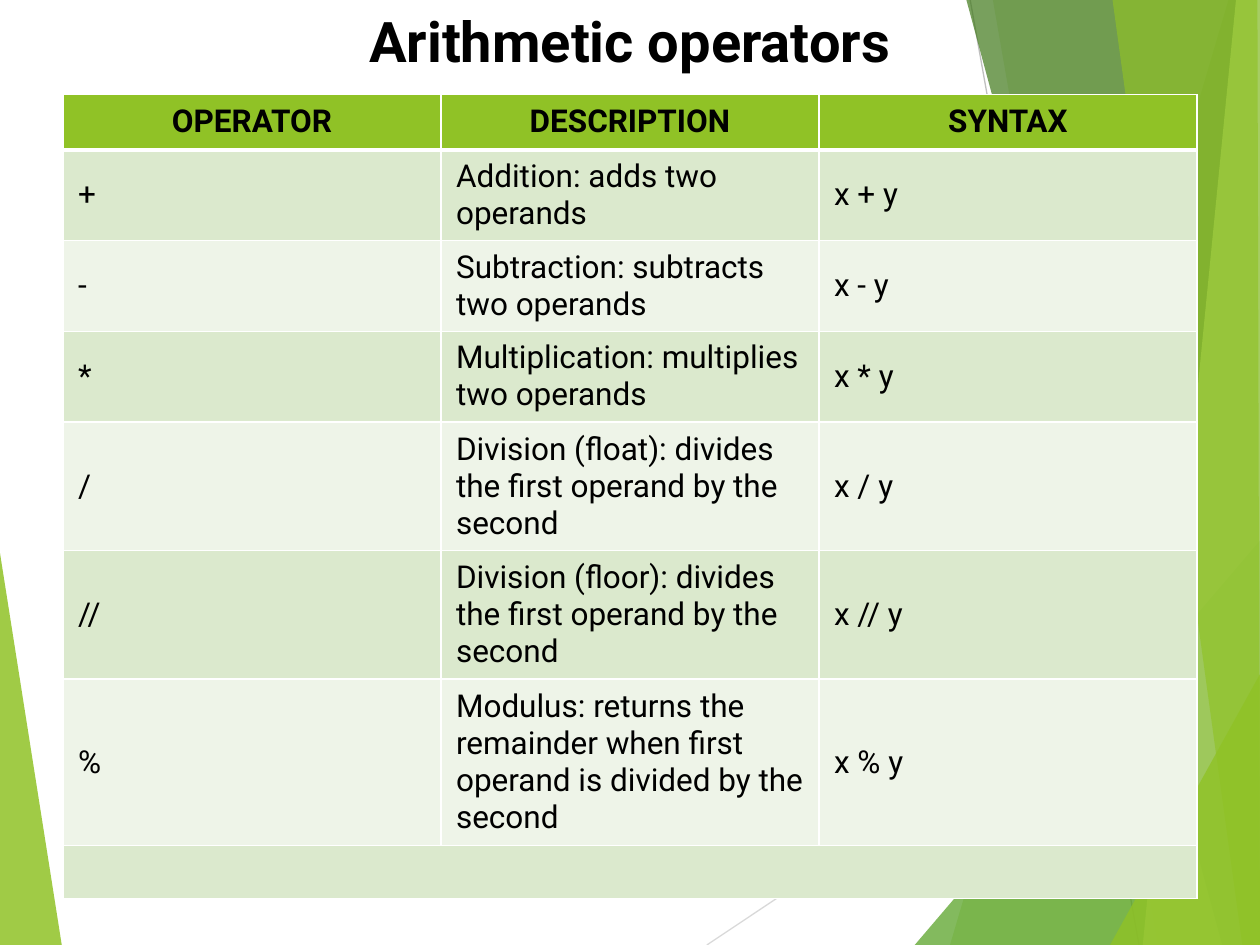
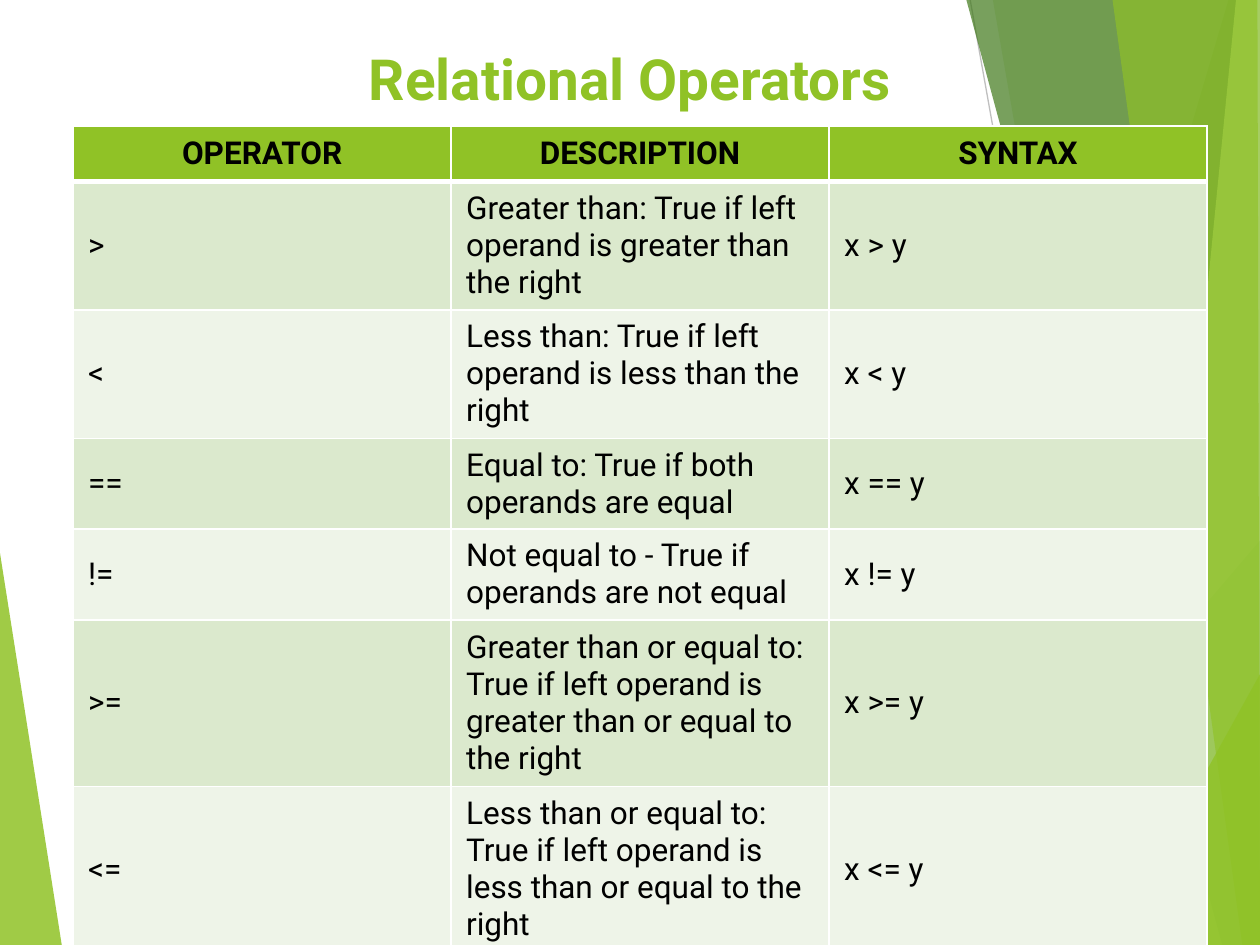
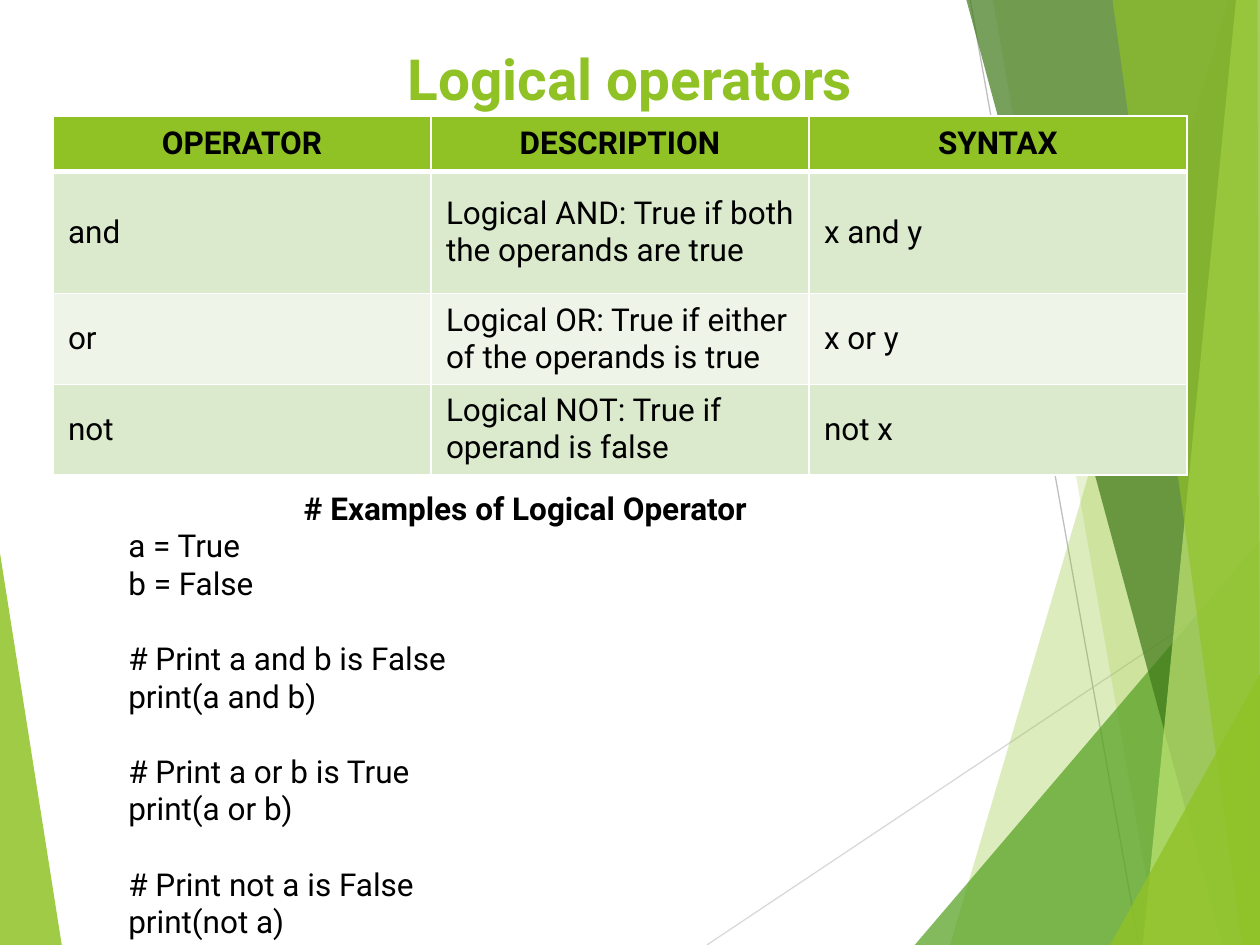
import pptx
import pptx.util
import pptx.dml.color
import pptx.enum.shapes
import pptx.enum.text
import pptx.oxml
import pptx.oxml.ns
from pptx.util import Inches, Pt

RGBColor = pptx.dml.color.RGBColor
ALIGN = pptx.enum.text.PP_ALIGN
ANCHOR = pptx.enum.text.MSO_ANCHOR

BLACK = RGBColor(0x00, 0x00, 0x00)
WHITE = RGBColor(0xFF, 0xFF, 0xFF)
LIME = RGBColor(0x90, 0xC2, 0x26)
GREEN = RGBColor(0x54, 0xA0, 0x21)
DARK_GREEN = RGBColor(0x3F, 0x78, 0x19)
PALE_LIME = RGBColor(0xC0, 0xE4, 0x74)
BAND_DARK = RGBColor(0xDB, 0xE9, 0xCD)
BAND_LIGHT = RGBColor(0xEE, 0xF4, 0xE8)
LIGHT_GRAY = RGBColor(0xD9, 0xD9, 0xD9)
MID_GRAY = RGBColor(0xBF, 0xBF, 0xBF)

FONT = "Roboto"
HEADINGS = ("OPERATOR", "DESCRIPTION", "SYNTAX")
COLUMN_WIDTH = 3

LEFT_WEDGE = ([(0, 4.39), (0.49, 7.5), (0, 7.5)], LIME, 85)
THIN_LINES = [
    ((5.61, 7.5), (10, 4.57), LIGHT_GRAY),
    ((7.7, 0), (9.04, 7.5), MID_GRAY),
]
RIGHT_FACETS = [
    ([(9.75, 0), (7.54, 7.5), (10, 7.5), (10, 0)], LIME, 30),
    ([(7.88, 0), (9.19, 7.5), (10, 7.5), (10, 0)], LIME, 20),
    ([(7.26, 7.5), (10, 4.29), (10, 7.5)], GREEN, 72),
    ([(7.67, 0), (9.7, 7.5), (10, 7.5), (10, 0)], DARK_GREEN, 70),
    ([(9.81, 0), (9.07, 7.5), (10, 7.5), (10, 0)], PALE_LIME, 70),
    ([(8.83, 0), (9.86, 7.5), (10, 7.5), (9.98, 0)], LIME, 65),
    ([(8.81, 7.5), (10, 5.35), (10, 7.5)], LIME, 80),
]

ARITHMETIC = [
    ("+", "Addition: adds two operands", "x + y"),
    ("-", "Subtraction: subtracts two operands", "x - y"),
    ("*", "Multiplication: multiplies two operands", "x * y"),
    ("/", "Division (float): divides the first operand by the second", "x / y"),
    ("//", "Division (floor): divides the first operand by the second", "x // y"),
    ("%", "Modulus: returns the remainder when first operand is divided by the second", "x % y"),
    ("", "", ""),
]
RELATIONAL = [
    (">", "Greater than: True if left operand is greater than the right", "x > y"),
    ("<", "Less than: True if left operand is less than the right", "x < y"),
    ("==", "Equal to: True if both operands are equal", "x == y"),
    ("!=", "Not equal to - True if operands are not equal", "x != y"),
    (">=", "Greater than or equal to: True if left operand is greater than or equal to the right",
     "x >= y"),
    ("<=", "Less than or equal to: True if left operand is less than or equal to the right",
     "x <= y"),
]
LOGICAL = [
    ("and", "Logical AND: True if both the operands are true", "x and y"),
    ("or", "Logical OR: True if either of the operands is true", "x or y"),
    ("not", "Logical NOT: True if operand is false", "not x"),
]
EXAMPLE_GROUPS = [
    ("a = True", "b = False"),
    ("# Print a and b is False", "print(a and b)"),
    ("# Print a or b is True", "print(a or b)"),
    ("# Print not a is False", "print(not a)"),
]


def write_text(paragraph, text, size=18, color=BLACK, bold=False, align=ALIGN.LEFT,
               line_spacing=None, space_before=0):
    paragraph.alignment = align
    paragraph.space_before = Pt(space_before)
    if line_spacing:
        paragraph.line_spacing = Pt(line_spacing)
    run = paragraph.add_run()
    run.text = text
    run.font.name = FONT
    run.font.size = Pt(size)
    run.font.bold = bold
    run.font.color.rgb = color


def set_borders(cell, **widths):
    """Draw white cell borders; widths are points keyed by lnL, lnR, lnT and lnB."""
    properties = cell._tc.get_or_add_tcPr()
    for side, width in widths.items():
        properties.append(pptx.oxml.parse_xml(
            f'<a:{side} {pptx.oxml.ns.nsdecls("a")} w="{Pt(width)}"><a:solidFill>'
            f'<a:srgbClr val="{WHITE}"/></a:solidFill></a:{side}>'))


class OperatorDeck:
    def __init__(self):
        self.presentation = pptx.Presentation()
        self.presentation.slide_width = Inches(10)
        self.presentation.slide_height = Inches(7.5)
        self.slide = None

    def new_slide(self, title, top=0.3, size=32.4, color=LIME):
        self.slide = self.presentation.slides.add_slide(self.presentation.slide_layouts[6])
        self.facet(*LEFT_WEDGE)
        for start, end, line_color in THIN_LINES:
            self.line(start, end, line_color)
        for facet in RIGHT_FACETS:
            self.facet(*facet)
        frame = self.text_frame(0.5, top, 9, 0.62)
        write_text(frame.paragraphs[0], title, size=size, color=color, bold=True,
                   align=ALIGN.CENTER)

    def facet(self, corners, color, opacity):
        points = [(Inches(x), Inches(y)) for x, y in corners]
        outline = self.slide.shapes.build_freeform(*points[0])
        outline.add_line_segments(points[1:])
        facet = outline.convert_to_shape()
        facet.shadow.inherit = False
        facet.line.fill.background()
        facet.fill.solid()
        facet.fill.fore_color.rgb = color
        tint = next(facet._element.spPr.iter(pptx.oxml.ns.qn("a:srgbClr")))
        tint.append(pptx.oxml.parse_xml(
            f'<a:alpha {pptx.oxml.ns.nsdecls("a")} val="{opacity * 1000}"/>'))

    def line(self, start, end, color):
        line = self.slide.shapes.add_connector(
            pptx.enum.shapes.MSO_CONNECTOR.STRAIGHT, *map(Inches, start + end))
        line.line.color.rgb = color
        line.line.width = Pt(0.75)
        line._element.spPr.append(
            pptx.oxml.parse_xml(f'<a:effectLst {pptx.oxml.ns.nsdecls("a")}/>'))

    def text_frame(self, left, top, width, height):
        box = self.slide.shapes.add_textbox(*map(Inches, (left, top, width, height)))
        box.text_frame.word_wrap = True
        return box.text_frame

    def operator_table(self, left, top, operators, row_heights):
        rows = [HEADINGS] + operators
        table = self.slide.shapes.add_table(
            len(rows), len(HEADINGS), Inches(left), Inches(top),
            Inches(COLUMN_WIDTH * len(HEADINGS)), Inches(sum(row_heights))).table
        table.horz_banding = False
        for column in table.columns:
            column.width = Inches(COLUMN_WIDTH)
        for index, (texts, height) in enumerate(zip(rows, row_heights)):
            table.rows[index].height = Inches(height)
            for column, text in enumerate(texts):
                self.table_cell(table.cell(index, column), text, index)
            if not any(texts):
                table.cell(index, 0).merge(table.cell(index, len(texts) - 1))

    def table_cell(self, cell, text, row):
        heading = row == 0
        set_borders(cell, lnL=1, lnR=1, lnT=3 if row == 1 else 1, lnB=3 if heading else 1)
        cell.fill.solid()
        cell.fill.fore_color.rgb = LIME if heading else (BAND_LIGHT, BAND_DARK)[row % 2]
        cell.vertical_anchor = ANCHOR.MIDDLE
        cell.margin_left = cell.margin_right = Inches(0.07 if heading else 0.12)
        cell.margin_top = cell.margin_bottom = Inches(0.07 if heading else 0.06)
        write_text(cell.text_frame.paragraphs[0], text, bold=heading,
                   align=ALIGN.CENTER if heading else ALIGN.LEFT)

    def examples(self, heading, groups):
        """Write a heading and groups of code lines, with one line's gap between groups."""
        pitch = 21.5
        frame = self.text_frame(0.92, 3.83, 6.5, 4.14)
        write_text(frame.paragraphs[0], heading, bold=True, align=ALIGN.CENTER,
                   line_spacing=pitch)
        for number, group in enumerate(groups):
            for position, code in enumerate(group):
                starts_group = number > 0 and position == 0
                write_text(frame.add_paragraph(), code, line_spacing=pitch,
                           space_before=pitch if starts_group else 0)


def main():
    deck = OperatorDeck()

    deck.new_slide("Arithmetic operators", top=0, size=32, color=BLACK)
    deck.operator_table(0.5, 0.75, ARITHMETIC, [0.39, 0.65, 0.65, 0.65, 0.92, 0.92, 1.2, 0.36])

    deck.new_slide("Relational Operators")
    deck.operator_table(0.58, 1, RELATIONAL, [0.4, 0.94, 0.94, 0.66, 0.66, 1.21, 0.94])

    deck.new_slide("Logical operators")
    deck.operator_table(0.42, 0.92, LOGICAL, [0.41, 0.97, 0.68, 0.68])
    deck.examples("# Examples of Logical Operator", EXAMPLE_GROUPS)

    deck.presentation.save("out.pptx")


if __name__ == "__main__":
    main()
